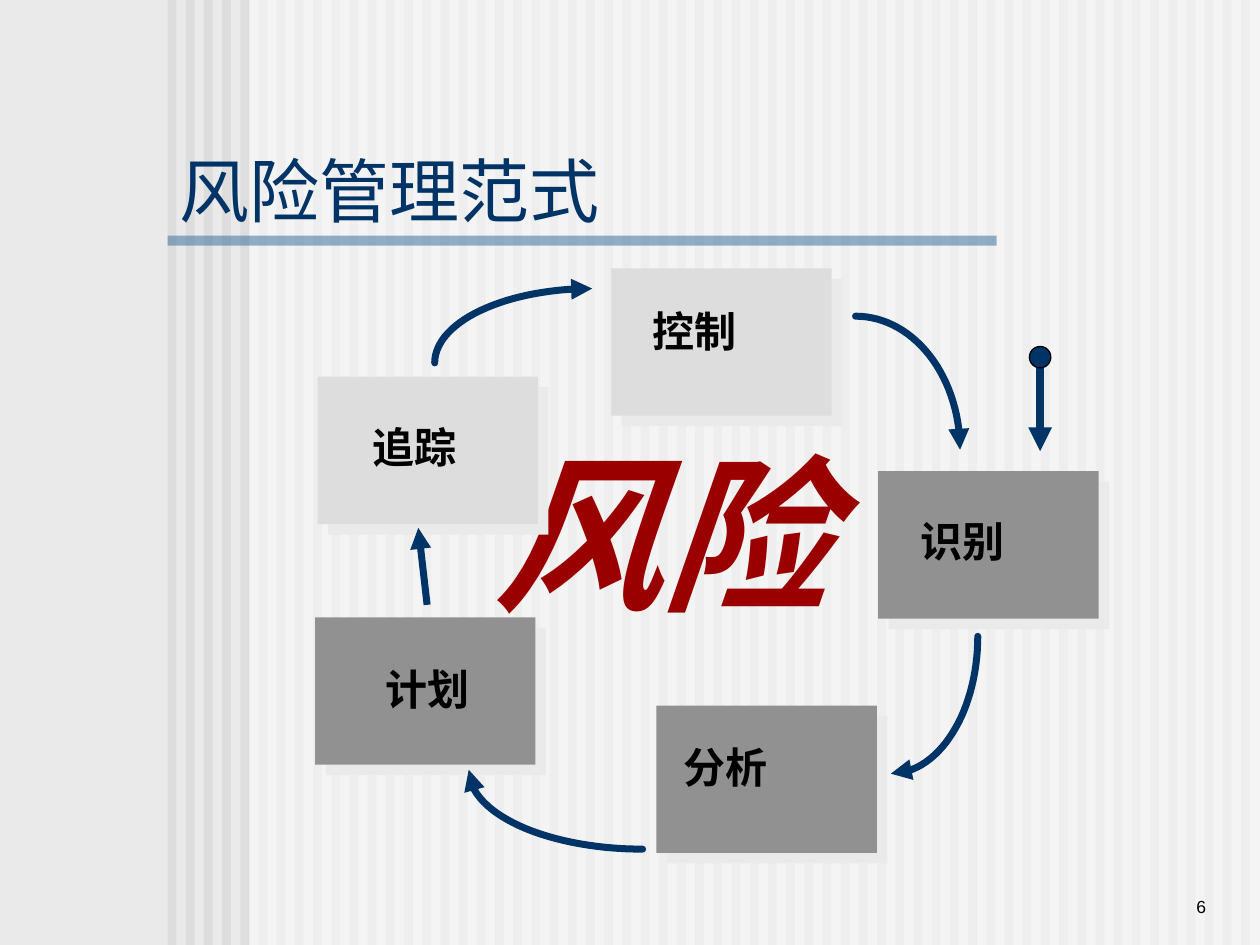
from math import cos, radians, sin

from lxml.etree import SubElement
from pptx import Presentation
from pptx.dml.color import RGBColor
from pptx.enum.shapes import MSO_CONNECTOR as Conn, MSO_SHAPE as Shape
from pptx.enum.text import MSO_ANCHOR as Anchor, MSO_AUTO_SIZE as Auto, PP_ALIGN as Align
from pptx.oxml.ns import qn
from pptx.util import Inches, Pt

BACK = RGBColor(0xEA, 0xEA, 0xEA)
PALE = RGBColor(0xDD, 0xDD, 0xDD)
GREY = RGBColor(0x91, 0x91, 0x91)
WHITE = RGBColor(0xFF, 0xFF, 0xFF)
BLACK = RGBColor(0, 0, 0)
NAVY = RGBColor(0x00, 0x33, 0x66)
BLUE = RGBColor(0x33, 0x66, 0x99)
RED = RGBColor(0x9A, 0, 0)

BOX_W, BOX_H = 1.75, 1.17

# left, top, colour, label, label offset x and y, label width
STEPS = [
    (6.97, 3.74, GREY, "识别", 0.24, 0.35, 1.65),
    (4.85, 2.13, PALE, "控制", 0.23, 0.29, 1.49),
    (2.52, 2.99, PALE, "追踪", 0.34, 0.35, 1.19),
    (2.5, 4.9, GREY, "计划", 0.46, 0.36, 1.25),
    (5.21, 5.6, GREY, "分析", 0.12, 0.28, 1.48),
]

# centre x and y, radius x and y, start angle (clockwise from the right)
ARCS = [
    (6.79, 3.57, 0.83, 1.06, 270),
    (7.07, 5.05, 0.69, 1.09, 0),
    (5.1, 6.11, 1.38, 0.63, 90),
    (4.7, 2.88, 1.25, 0.59, 180),
]


def add_block(slide, box, color, alpha=None, kind=Shape.RECTANGLE):
    """Add a borderless shape; alpha is its opacity in percent."""
    block = slide.shapes.add_shape(kind, *map(Inches, box))
    block.shadow.inherit = False
    block.fill.solid()
    block.fill.fore_color.rgb = color
    block.line.fill.background()
    if alpha is not None:
        tint = block.fill._xPr.find(".//" + qn("a:srgbClr"))
        SubElement(tint, qn("a:alpha"), val=str(alpha * 1000))
    return block


def add_text(slide, box, text, color, size, align=Align.LEFT,
             anchor=Anchor.TOP, grow=False, spacing=1.0, **style):
    label = slide.shapes.add_textbox(*map(Inches, box))
    frame = label.text_frame
    frame.word_wrap = True
    frame.vertical_anchor = anchor
    frame.auto_size = Auto.SHAPE_TO_FIT_TEXT if grow else Auto.NONE
    para = frame.paragraphs[0]
    para.alignment = align
    para.line_spacing = spacing
    run = para.add_run()
    run.text = text
    run.font.color.rgb = color
    for name, value in {"name": "Arial", "size": Pt(size), **style}.items():
        setattr(run.font, name, value)
    return label


def add_drop(block):
    """Give the block a hard shadow down and to the right."""
    props = block.fill._xPr.find(qn("a:effectLst"))
    drop = SubElement(props, qn("a:outerShdw"), dist=str(Pt(8.5)),
                      dir="2700000", algn="ctr", rotWithShape="0")
    SubElement(drop, qn("a:srgbClr"), val=str(BACK))


def style_arrow(arrow, width, cap="flat"):
    arrow.line.color.rgb = NAVY
    arrow.line.width = Pt(width)
    line = arrow.line._get_or_add_ln()
    line.set("cap", cap)
    SubElement(line, qn("a:round"))
    SubElement(line, qn("a:tailEnd"), type="triangle")


def add_line(slide, start, end, width):
    line = slide.shapes.add_connector(Conn.STRAIGHT, *map(Inches, start + end))
    style_arrow(line, width)
    SubElement(line._element.spPr, qn("a:effectLst"))


def add_arc(slide, x, y, rx, ry, start, parts=30):
    """Draw a clockwise quarter ellipse that ends in an arrowhead."""
    turns = [radians(start + 90 * i / parts) for i in range(parts + 1)]
    points = [(Inches(x + rx * cos(t)), Inches(y + ry * sin(t))) for t in turns]
    path = slide.shapes.build_freeform(*points[0])
    path.add_line_segments(points[1:], close=False)
    arc = path.convert_to_shape()
    arc.shadow.inherit = False
    arc.fill.background()
    style_arrow(arc, 4, "rnd")


def add_backdrop(slide, box, count=60):
    left, top, width, height = box
    slide.background.fill.solid()
    slide.background.fill.fore_color.rgb = BACK
    step = (width - 0.15) / (count - 1)
    for i in range(count):
        add_block(slide, (left + i * step, top, 0.07, height), PALE)
    add_block(slide, (left + 0.65, top, width - 0.65, height), WHITE, 50)


def add_title(slide, box):
    left, top, width, height = box
    add_block(slide, (left, top + 0.79, 6.58, 0.08), BLUE, 50)
    add_text(slide, box, "风险管理范式", NAVY, 40, anchor=Anchor.MIDDLE)


def add_step(slide, box, color, text, dx, dy, width):
    left, top = box[:2]
    add_drop(add_block(slide, box, color))
    label = add_text(slide, (left + dx, top + dy, width, 0.46), text, BLACK, 24,
                     grow=True, spacing=0.9, bold=True)
    if text == "分析":
        label.fill.solid()
        label.fill.fore_color.rgb = color


def add_cycle(slide, box):
    left, top = box[:2]
    add_text(slide, (left + 1.32, top + 1.42, 3.23, 1.54), "风险", RED, 96,
             grow=True, spacing=0.9, bold=True, italic=True)
    for x, y, *rest in STEPS:
        add_step(slide, (x - 2.5 + left, y - 2.13 + top, BOX_W, BOX_H), *rest)
    for x, y, *rest in ARCS:
        add_arc(slide, x - 2.5 + left, y - 2.13 + top, *rest)
    add_line(slide, (left + 0.89, top + 2.67), (left + 0.82, top + 2.06), 4)


def add_entry(slide, box):
    """Add the dot and arrow that lead into the cycle."""
    left, top, width, height = box
    mid = left + width / 2
    add_line(slide, (mid, top + width / 2), (mid, top + height), 4.5)
    dot = add_block(slide, (left, top, width, width), NAVY, kind=Shape.OVAL)
    dot.line.color.rgb = BLACK
    dot.line.width = Pt(0.75)


def main():
    deck = Presentation()
    deck.slide_width, deck.slide_height = Inches(10), Inches(7.5)
    slide = deck.slides.add_slide(deck.slide_layouts[6])
    add_backdrop(slide, (1.33, 0, 8.67, 7.5))
    add_text(slide, (8.25, 6.83, 1.42, 0.5), "6", BLACK, 10,
             align=Align.RIGHT, anchor=Anchor.BOTTOM)
    add_title(slide, (1.33, 1.08, 8.04, 0.85))
    add_cycle(slide, (2.5, 2.13, 6.22, 4.64))
    add_entry(slide, (8.17, 2.75, 0.17, 0.83))
    deck.save("out.pptx")


if __name__ == "__main__":
    main()
